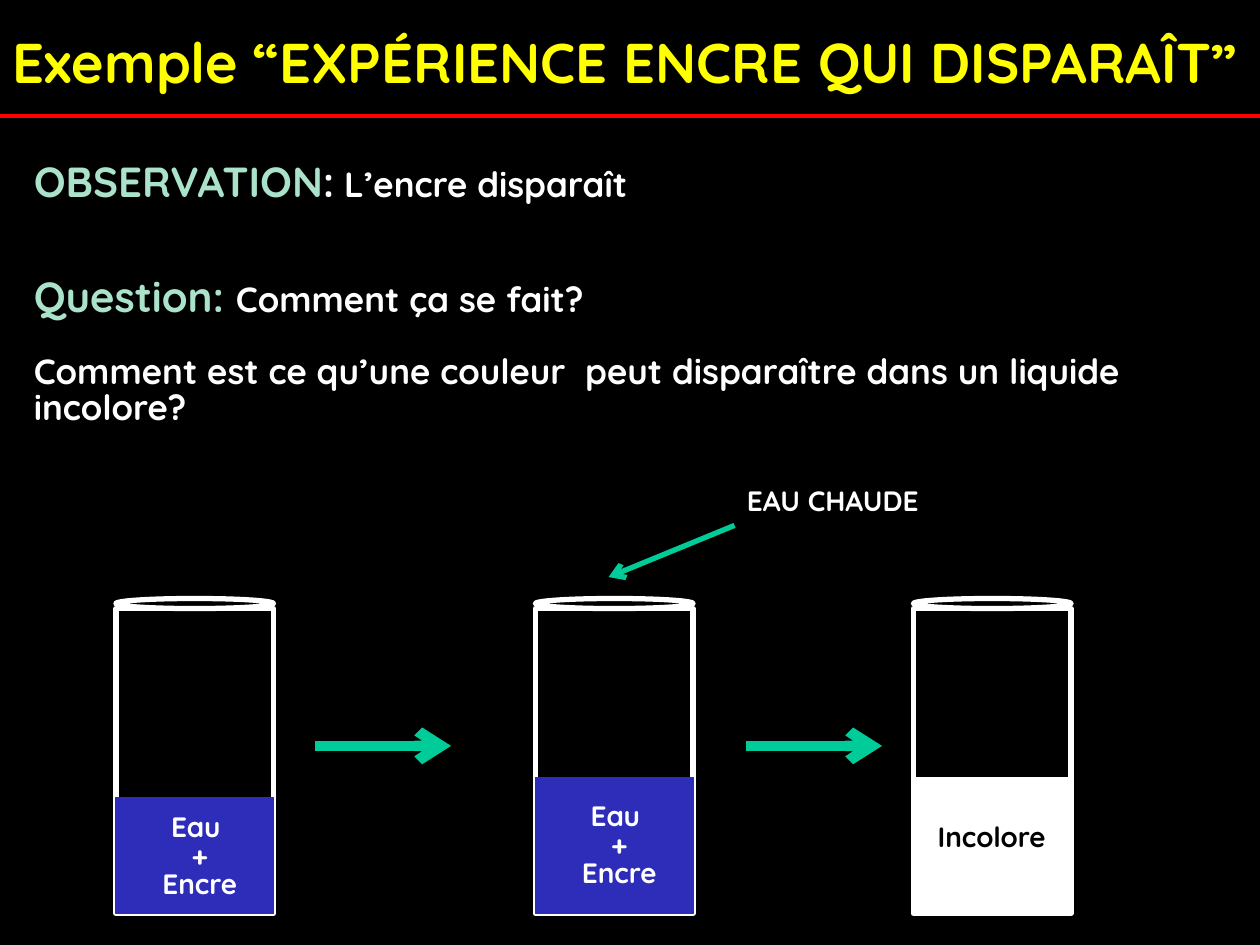
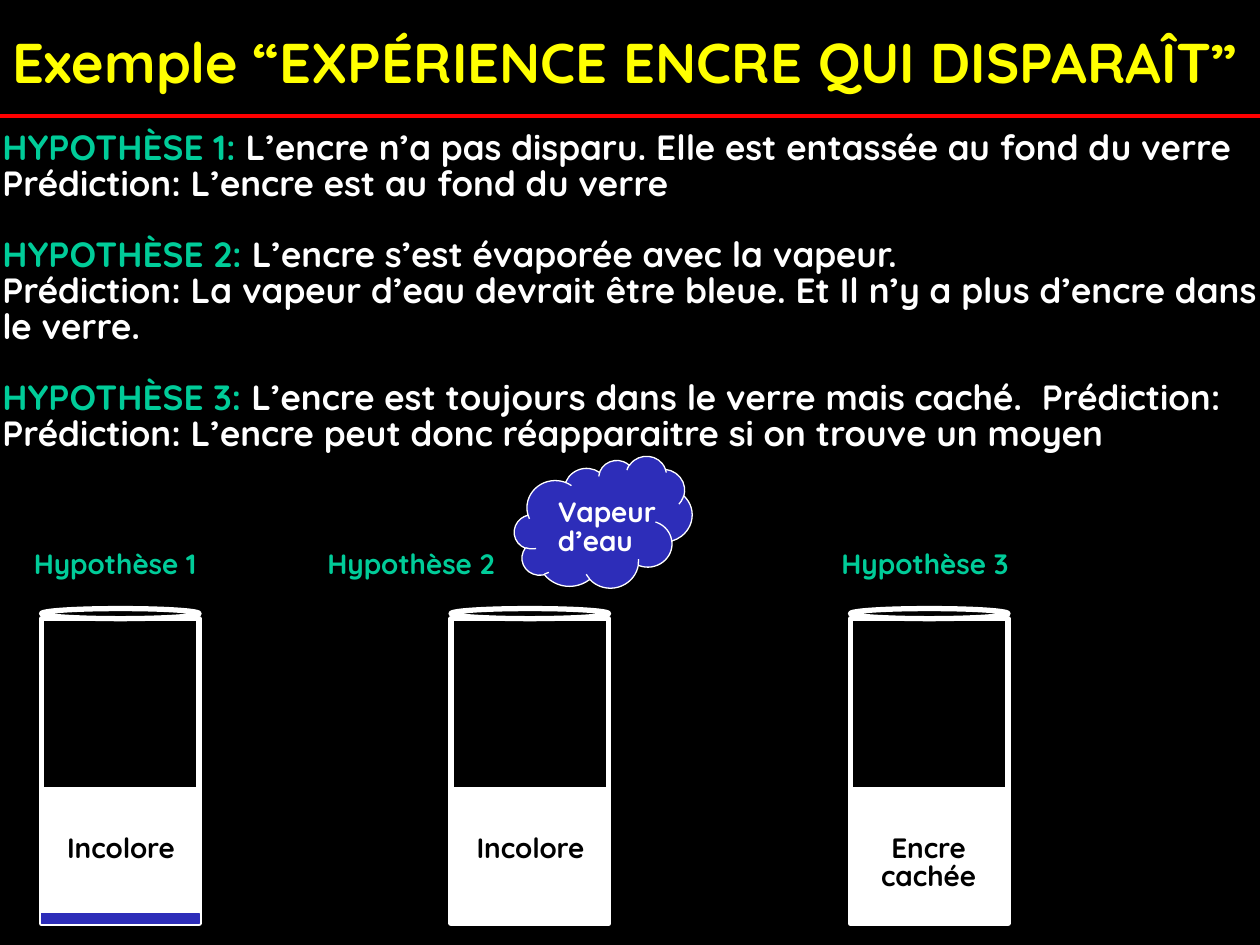
from dataclasses import dataclass
from lxml.etree import SubElement
from pptx import Presentation
from pptx.dml.color import RGBColor
from pptx.enum.shapes import MSO_CONNECTOR, MSO_SHAPE
from pptx.enum.text import MSO_ANCHOR, MSO_AUTO_SIZE, PP_ALIGN
from pptx.oxml.ns import qn
from pptx.util import Inches, Pt


@dataclass(frozen=True)
class Theme:
    font: str = "Quicksand"
    black: str = "000000"
    white: str = "FFFFFF"
    yellow: str = "FFFF00"
    red: str = "FF0000"
    mint: str = "AAE2CA"
    green: str = "00CC99"
    ink: str = "2D2DB9"
    title: int = 32
    heading: int = 24
    body: int = 20
    label: int = 16
    spacing: float = 0.85
    blank_line: float = 20.4


THEME = Theme()
TITLE = "Exemple “EXPÉRIENCE ENCRE QUI DISPARAÎT”"
GLASS_WIDTH, RIM_HEIGHT, BODY_HEIGHT = 1.25, 0.08, 2.42

HEAD = (THEME.heading, THEME.mint)
COLON = (THEME.heading, THEME.white)
BODY = (THEME.body, THEME.white)
HYPOTHESIS = (THEME.body, THEME.green)
LABEL = (THEME.label, THEME.white)
DARK_LABEL = (THEME.label, THEME.black)
GREEN_LABEL = (THEME.label, THEME.green)

INK_LINES = [(0, [(line, *LABEL)]) for line in ("Eau ", "+", "Encre ")]
CLEAR_LINES = [(0, [("Incolore ", *DARK_LABEL)])]
HIDDEN_LINES = [(0, [("Encre cachée", *DARK_LABEL)])]

# Each paragraph is (blank lines before, runs); each run is (text, size, colour).
# Each glass is (left, liquid height, liquid colour, label, (offset, top, width)).
SLIDES = [
    {
        "body_box": (0.17, 1.25, 9.83, 2.23),
        "body": [
            (0, [("OBSERVATION", *HEAD), (":", *COLON), (" L’encre disparaît", *BODY)]),
            (2, [("Question: ", *HEAD), ("Comment ça se fait?", *BODY)]),
            (1, [("Comment est ce qu’une couleur  peut disparaître dans un liquide incolore?", *BODY)]),
        ],
        "glass_top": 4.75,
        "glasses": [
            (0.92, 0.92, THEME.ink, INK_LINES, (0.25, 6.42, 0.83)),
            (4.25, 1.08, THEME.ink, INK_LINES, (0.25, 6.33, 0.83)),
            (7.25, 1.08, THEME.white, CLEAR_LINES, (0.08, 6.5, 1.08)),
        ],
        "arrows": [
            (2.5, 5.92, 3.58, 5.92, 6),
            (5.92, 5.92, 7, 5.92, 6),
            (5.83, 4.17, 4.83, 4.58, 3),
        ],
        "captions": [("EAU CHAUDE", LABEL, (5.83, 3.83, 1.67, 0.34))],
    },
    {
        "body_box": (-0.08, 1, 10.42, 2.68),
        "body": [
            (0, [("HYPOTHÈSE 1: ", *HYPOTHESIS),
                 ("L’encre n’a pas disparu. Elle est entassée au fond du verre", *BODY)]),
            (0, [("Prédiction: L’encre est au fond du verre", *BODY)]),
            (1, [("HYPOTHÈSE 2: ", *HYPOTHESIS),
                 ("L’encre s’est évaporée avec la vapeur.", *BODY)]),
            (0, [("Prédiction: La vapeur d’eau devrait être bleue. "
                  "Et Il n’y a plus d’encre dans le verre.", *BODY)]),
            (1, [("HYPOTHÈSE 3: ", *HYPOTHESIS),
                 ("L’encre est toujours dans le verre mais caché.  Prédiction: "
                  "Prédiction: L’encre peut donc réapparaitre si on trouve un moyen", *BODY)]),
        ],
        "glass_top": 4.83,
        "glasses": [
            (0.33, 1.08, THEME.white, CLEAR_LINES, (0.09, 6.58, 1.08)),
            (3.58, 1.08, THEME.white, CLEAR_LINES, (0.09, 6.58, 1.08)),
            (6.75, 1.08, THEME.white, HIDDEN_LINES, (-0.17, 6.58, 1.58)),
        ],
        "shapes": [
            (MSO_SHAPE.RECTANGLE, (0.33, 7.25, 1.25, 0.08), THEME.ink, 0),
            (MSO_SHAPE.CLOUD, (4.08, 3.67, 1.42, 1), THEME.white, -8.1),
        ],
        "captions": [
            ("Hypothèse 1", GREEN_LABEL, (0.17, 4.33, 1.67, 0.34)),
            ("Hypothèse 2", GREEN_LABEL, (2.5, 4.33, 1.67, 0.34)),
            ("Hypothèse 3", GREEN_LABEL, (6.58, 4.33, 1.67, 0.34)),
            ("Vapeur d’eau", LABEL, (4.33, 3.92, 1, 0.57)),
        ],
    },
]


def inches(values):
    return [Inches(value) for value in values]


def rgb(color):
    return RGBColor.from_string(color)


def add_run(paragraph, text, size, color):
    run = paragraph.add_run()
    run.text = text
    formats = {"name": THEME.font, "size": Pt(size), "bold": True}
    for name, value in formats.items():
        setattr(run.font, name, value)
    run.font.color.rgb = rgb(color)


def add_text(slide, box, paragraphs, align=PP_ALIGN.LEFT):
    frame = slide.shapes.add_textbox(*inches(box)).text_frame
    frame.word_wrap = True
    for index, (blank_lines, runs) in enumerate(paragraphs):
        paragraph = frame.add_paragraph() if index else frame.paragraphs[0]
        formats = {
            "alignment": align,
            "line_spacing": THEME.spacing,
            "space_before": Pt(blank_lines * THEME.blank_line),
        }
        for name, value in formats.items():
            setattr(paragraph, name, value)
        for run in runs:
            add_run(paragraph, *run)


def add_shape(shapes, kind, box, line_color, line_width, fill=None):
    shape = shapes.add_shape(kind, *inches(box))
    shape.shadow.inherit = False
    shape.line.color.rgb = rgb(line_color)
    shape.line.width = Pt(line_width)
    if fill:
        shape.fill.solid()
        shape.fill.fore_color.rgb = rgb(fill)
    else:
        shape.fill.background()
    return shape


def add_line(slide, ends, color, width, arrow=False):
    connector = slide.shapes.add_connector(MSO_CONNECTOR.STRAIGHT, *inches(ends))
    connector.line.color.rgb = rgb(color)
    connector.line.width = Pt(width)
    if arrow:
        SubElement(connector.line._get_or_add_ln(), qn("a:tailEnd"), type="arrow")
    SubElement(connector._element.spPr, qn("a:effectLst"))


def add_glass(slide, top, left, liquid_height, liquid_color, label, place):
    shapes = slide.shapes.add_group_shape().shapes
    body_top = top + RIM_HEIGHT
    liquid_top = body_top + BODY_HEIGHT - liquid_height
    add_shape(shapes, MSO_SHAPE.OVAL, (left, top, GLASS_WIDTH, RIM_HEIGHT), THEME.white, 3)
    add_shape(shapes, MSO_SHAPE.RECTANGLE, (left, body_top, GLASS_WIDTH, BODY_HEIGHT), THEME.white, 3)
    add_shape(shapes, MSO_SHAPE.RECTANGLE, (left, liquid_top, GLASS_WIDTH, liquid_height),
              liquid_color, 0.75, liquid_color)
    offset, label_top, width = place
    height = 0.12 + 0.22 * len(label)
    add_text(slide, (left + offset, label_top, width, height), label, PP_ALIGN.CENTER)


def add_base(presentation):
    slide = presentation.slides.add_slide(presentation.slide_layouts[5])
    slide.background.fill.solid()
    slide.background.fill.fore_color.rgb = rgb(THEME.black)
    add_line(slide, (0, 0.92, 10, 0.92), THEME.red, 2.25)
    title = slide.shapes.title
    title.left, title.top, title.width, title.height = inches((0, 0.17, 10.14, 0.64))
    formats = {
        "word_wrap": False,
        "auto_size": MSO_AUTO_SIZE.SHAPE_TO_FIT_TEXT,
        "vertical_anchor": MSO_ANCHOR.TOP,
    }
    for name, value in formats.items():
        setattr(title.text_frame, name, value)
    paragraph = title.text_frame.paragraphs[0]
    paragraph.alignment = PP_ALIGN.LEFT
    add_run(paragraph, TITLE, THEME.title, THEME.yellow)
    return slide


def add_experiment(presentation, content):
    slide = add_base(presentation)
    add_text(slide, content["body_box"], content["body"])
    for glass in content["glasses"]:
        add_glass(slide, content["glass_top"], *glass)
    for *ends, width in content.get("arrows", []):
        add_line(slide, ends, THEME.green, width, arrow=True)
    for kind, box, line_color, rotation in content.get("shapes", []):
        shape = add_shape(slide.shapes, kind, box, line_color, 0.75, THEME.ink)
        shape.rotation = rotation
    for text, style, box in content["captions"]:
        add_text(slide, box, [(0, [(text, *style)])])


def main():
    presentation = Presentation()
    presentation.slide_width, presentation.slide_height = inches((10, 7.5))
    for content in SLIDES:
        add_experiment(presentation, content)
    presentation.save("out.pptx")


if __name__ == "__main__":
    main()
